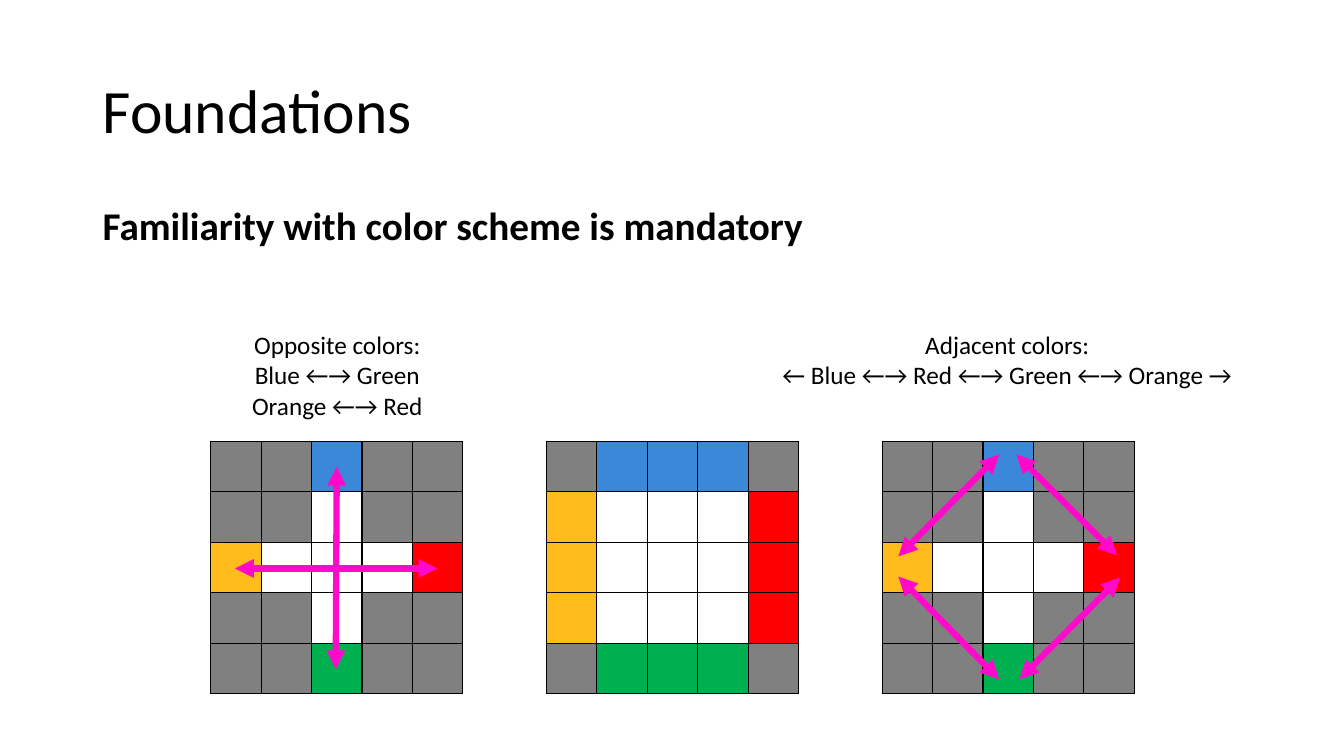
from lxml.etree import SubElement
from pptx import Presentation
from pptx.dml.color import RGBColor
from pptx.enum.shapes import MSO_CONNECTOR as CONN
from pptx.enum.text import MSO_ANCHOR as ANCHOR, PP_ALIGN as ALIGN
from pptx.oxml.ns import qn
from pptx.util import Inches, Pt

BLACK = RGBColor(0x00, 0x00, 0x00)
MAGENTA = RGBColor(0xFF, 0x09, 0xCA)
STICKERS = {
    "x": RGBColor(0x80, 0x80, 0x80),
    "B": RGBColor(0x3B, 0x88, 0xD8),
    "O": RGBColor(0xFF, 0xBC, 0x1C),
    "R": RGBColor(0xFF, 0x00, 0x00),
    "G": RGBColor(0x00, 0xB0, 0x50),
    "W": RGBColor(0xFF, 0xFF, 0xFF),
}
FONT = "Calibri"
CELL = 0.5
CROSS = ["xxBxx", "xx.xx", "O...R", "xx.xx", "xxGxx"]
FACE = ["xBBBx", "OWWWR", "OWWWR", "OWWWR", "xGGGx"]
OPPOSITE_ARROWS = [((1.25, 0.25), (1.24, 2.26)), ((2.25, 1.26), (0.24, 1.26))]
ADJACENT_ARROWS = [
    ((1.33, 0.13), (2.33, 1.13)),
    ((1.16, 0.13), (0.16, 1.14)),
    ((1.16, 2.36), (0.16, 1.34)),
    ((1.36, 2.36), (2.36, 1.35)),
]


def add_text(slide, box, lines, size, bold=False, align=ALIGN.LEFT,
             anchor=ANCHOR.TOP, spacing=1.0):
    """Place a text box with one paragraph per line."""
    tf = slide.shapes.add_textbox(*map(Inches, box)).text_frame
    tf.word_wrap = True
    tf.vertical_anchor = anchor
    for i, line in enumerate(lines):
        p = tf.paragraphs[0] if i == 0 else tf.add_paragraph()
        p.alignment = align
        p.line_spacing = spacing
        r = p.add_run()
        r.text = line
        r.font.name = FONT
        r.font.size = Pt(size)
        r.font.bold = bold
        r.font.color.rgb = BLACK


def add_borders(cell):
    """Draw a thin black line on all four sides of a cell."""
    tc_pr = cell._tc.get_or_add_tcPr()
    for side in ("a:lnL", "a:lnR", "a:lnT", "a:lnB"):
        ln = SubElement(tc_pr, qn(side), w=str(Pt(1)))
        fill = SubElement(ln, qn("a:solidFill"))
        SubElement(fill, qn("a:srgbClr"), val=str(BLACK))


def add_arrow(slide, left, top, start, end):
    """Draw a double-headed arrow between two points of a box."""
    points = (left + start[0], top + start[1], left + end[0], top + end[1])
    s = slide.shapes.add_connector(CONN.STRAIGHT, *map(Inches, points))
    s.line.color.rgb = MAGENTA
    s.line.width = Pt(4.5)
    ln = s.line._get_or_add_ln()
    for tip in ("a:headEnd", "a:tailEnd"):
        SubElement(ln, qn(tip), type="triangle")
    SubElement(s._element.spPr, qn("a:effectLst"))


def add_cube(slide, left, top, pattern, arrows=()):
    """Draw a cube face with its neighbouring stickers and arrows."""
    rows, cols = len(pattern), len(pattern[0])
    box = (left, top, cols * CELL, rows * CELL)
    table = slide.shapes.add_table(rows, cols, *map(Inches, box)).table
    table.first_row = table.horz_banding = False
    for r, codes in enumerate(pattern):
        for c, code in enumerate(codes):
            cell = table.cell(r, c)
            add_borders(cell)
            if code in STICKERS:
                cell.fill.solid()
                cell.fill.fore_color.rgb = STICKERS[code]
            else:
                cell.fill.background()
    for start, end in arrows:
        add_arrow(slide, left, top, start, end)


def add_foundations(prs):
    """Build the slide about the color scheme."""
    slide = prs.slides.add_slide(prs.slide_layouts[6])
    add_text(slide, (0.92, 0.4, 11.5, 1.45), ["Foundations"], 44,
             anchor=ANCHOR.MIDDLE, spacing=0.9)
    add_text(slide, (0.92, 2, 11.5, 0.6),
             ["Familiarity with color scheme is mandatory"], 28, bold=True,
             spacing=0.9)
    add_text(slide, (2.22, 3.22, 2.25, 1.01),
             ["Opposite colors:", "Blue ←→ Green", "Orange ←→ Red"], 18,
             align=ALIGN.CENTER)
    add_text(slide, (7.3, 3.22, 5.38, 0.71),
             ["Adjacent colors:", "← Blue ←→ Red ←→ Green ←→ Orange →"], 18,
             align=ALIGN.CENTER)
    cubes = [(CROSS, OPPOSITE_ARROWS), (FACE, ()), (CROSS, ADJACENT_ARROWS)]
    for i, (pattern, arrows) in enumerate(cubes):
        add_cube(slide, 2.09 + i * 3.33, 4.38, pattern, arrows)


def main():
    """Create and save the presentation."""
    prs = Presentation()
    prs.slide_width, prs.slide_height = Inches(13.33), Inches(7.5)
    add_foundations(prs)
    prs.save("out.pptx")


if __name__ == "__main__":
    main()
